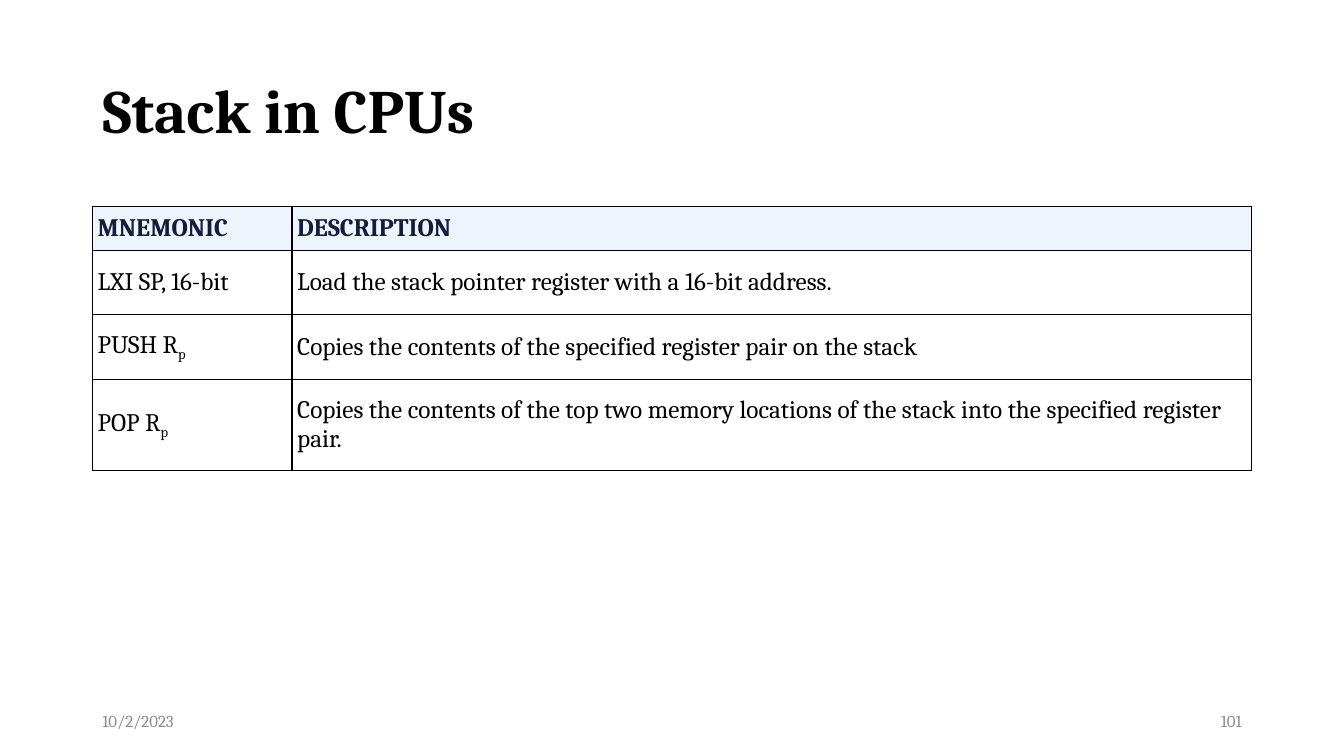
import pptx
import pptx.dml.color
import pptx.enum.text
import pptx.oxml
import pptx.oxml.ns
import pptx.util

Cm = pptx.util.Cm
Pt = pptx.util.Pt
RGBColor = pptx.dml.color.RGBColor
ALIGN = pptx.enum.text.PP_ALIGN
MIDDLE = pptx.enum.text.MSO_ANCHOR.MIDDLE

# Content: a cell is a list of (text, is_subscript) runs
TITLE = "Stack in CPUs"
DATE = "10/2/2023"
SLIDE_NUMBER = "101"
ROWS = [
    ([("MNEMONIC", False)], [("DESCRIPTION", False)]),
    ([("LXI SP, 16-bit", False)],
     [("Load the stack pointer register with a 16-bit address.", False)]),
    ([("PUSH R", False), ("p", True)],
     [("Copies the contents of the specified register pair on the stack", False)]),
    ([("POP R", False), ("p", True)],
     [("Copies the contents of the top two memory locations of the stack "
       "into the specified register pair.", False)]),
]

# Style and layout
FONT = "Cambria"
BLACK = RGBColor(0x00, 0x00, 0x00)
WHITE = RGBColor(0xFF, 0xFF, 0xFF)
GRAY = RGBColor(0x8C, 0x8C, 0x8C)
NAVY = RGBColor(0x14, 0x1C, 0x3A)
PALE_BLUE = RGBColor(0xEE, 0xF4, 0xFD)
SLIDE_WIDTH, SLIDE_HEIGHT = Cm(33.87), Cm(19.05)
LEFT, WIDTH = Cm(2.33), Cm(29.21)
FOOTER_TOP, FOOTER_WIDTH, FOOTER_HEIGHT = Cm(17.66), Cm(7.62), Cm(1.01)
TABLE_TOP = Cm(5.21)
COLUMN_WIDTHS = [Cm(5.03), Cm(24.18)]
ROW_HEIGHTS = [Cm(1.02), Cm(1.62), Cm(1.62), Cm(2.31)]
SIDE_MARGIN = Cm(0.13)
VERTICAL_MARGINS = [Cm(0.17), Cm(0.13)]


def add_run(paragraph, text, size, color, bold=False):
    run = paragraph.add_run()
    run.text = text
    run.font.name = FONT
    run.font.size = Pt(size)
    run.font.bold = bold
    run.font.color.rgb = color
    return run


def add_footer(slide, text, left, alignment):
    box = slide.shapes.add_textbox(left, FOOTER_TOP, FOOTER_WIDTH, FOOTER_HEIGHT)
    box.text_frame.word_wrap = True
    box.text_frame.vertical_anchor = MIDDLE
    paragraph = box.text_frame.paragraphs[0]
    paragraph.alignment = alignment
    add_run(paragraph, text, 12, GRAY)


def add_borders(cell):
    properties = cell._tc.get_or_add_tcPr()
    for position, side in enumerate(("lnL", "lnR", "lnT", "lnB")):
        properties.insert(position, pptx.oxml.parse_xml(
            f'<a:{side} {pptx.oxml.ns.nsdecls("a")} w="{Pt(1)}"><a:solidFill>'
            f'<a:srgbClr val="{BLACK}"/></a:solidFill></a:{side}>'))


def fill_cell(cell, runs, is_header, vertical_margin):
    cell.vertical_anchor = MIDDLE
    cell.margin_left = cell.margin_right = SIDE_MARGIN
    cell.margin_top = cell.margin_bottom = vertical_margin
    cell.fill.solid()
    cell.fill.fore_color.rgb = PALE_BLUE if is_header else WHITE
    add_borders(cell)
    paragraph = cell.text_frame.paragraphs[0]
    for text, is_subscript in runs:
        run = add_run(paragraph, text, 18, NAVY if is_header else BLACK, is_header)
        if is_subscript:
            run._r.get_or_add_rPr().set("baseline", "-25000")


def main():
    presentation = pptx.Presentation()
    presentation.slide_width, presentation.slide_height = SLIDE_WIDTH, SLIDE_HEIGHT
    slide = presentation.slides.add_slide(presentation.slide_layouts[5])

    # Title
    title = slide.shapes.title
    title.left, title.top, title.width, title.height = LEFT, Cm(1.01), WIDTH, Cm(3.68)
    title.text_frame.vertical_anchor = MIDDLE
    paragraph = title.text_frame.paragraphs[0]
    paragraph.alignment = ALIGN.LEFT
    paragraph.line_spacing = 0.9
    add_run(paragraph, TITLE, 44, BLACK, True)

    # Date and slide number
    add_footer(slide, DATE, LEFT, ALIGN.LEFT)
    add_footer(slide, SLIDE_NUMBER, LEFT + WIDTH - FOOTER_WIDTH, ALIGN.RIGHT)

    # Instruction table
    table = slide.shapes.add_table(len(ROWS), len(COLUMN_WIDTHS), LEFT, TABLE_TOP,
                                   WIDTH, sum(ROW_HEIGHTS)).table
    for column, width in zip(table.columns, COLUMN_WIDTHS):
        column.width = width
    for row_index, (row, height) in enumerate(zip(ROWS, ROW_HEIGHTS)):
        table.rows[row_index].height = height
        for column_index, runs in enumerate(row):
            fill_cell(table.cell(row_index, column_index), runs,
                      row_index == 0, VERTICAL_MARGINS[column_index])

    presentation.save("out.pptx")


if __name__ == "__main__":
    main()
